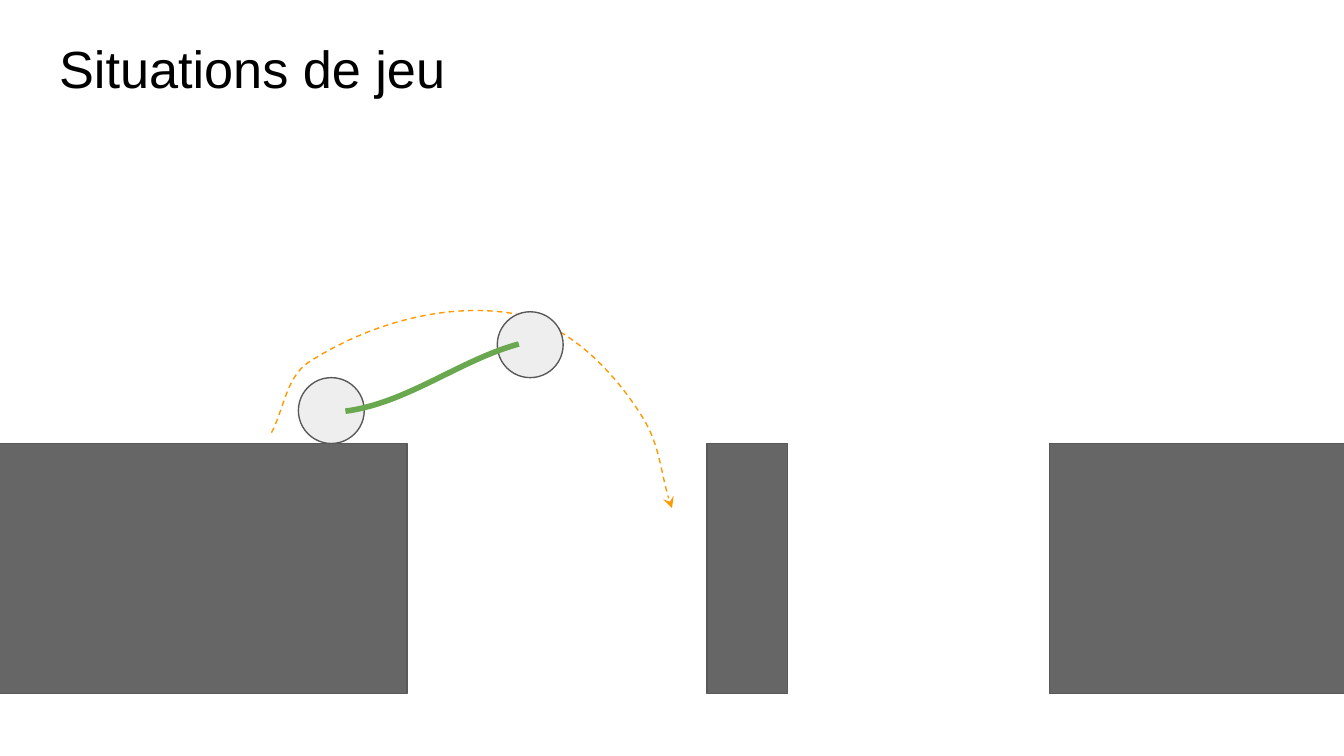
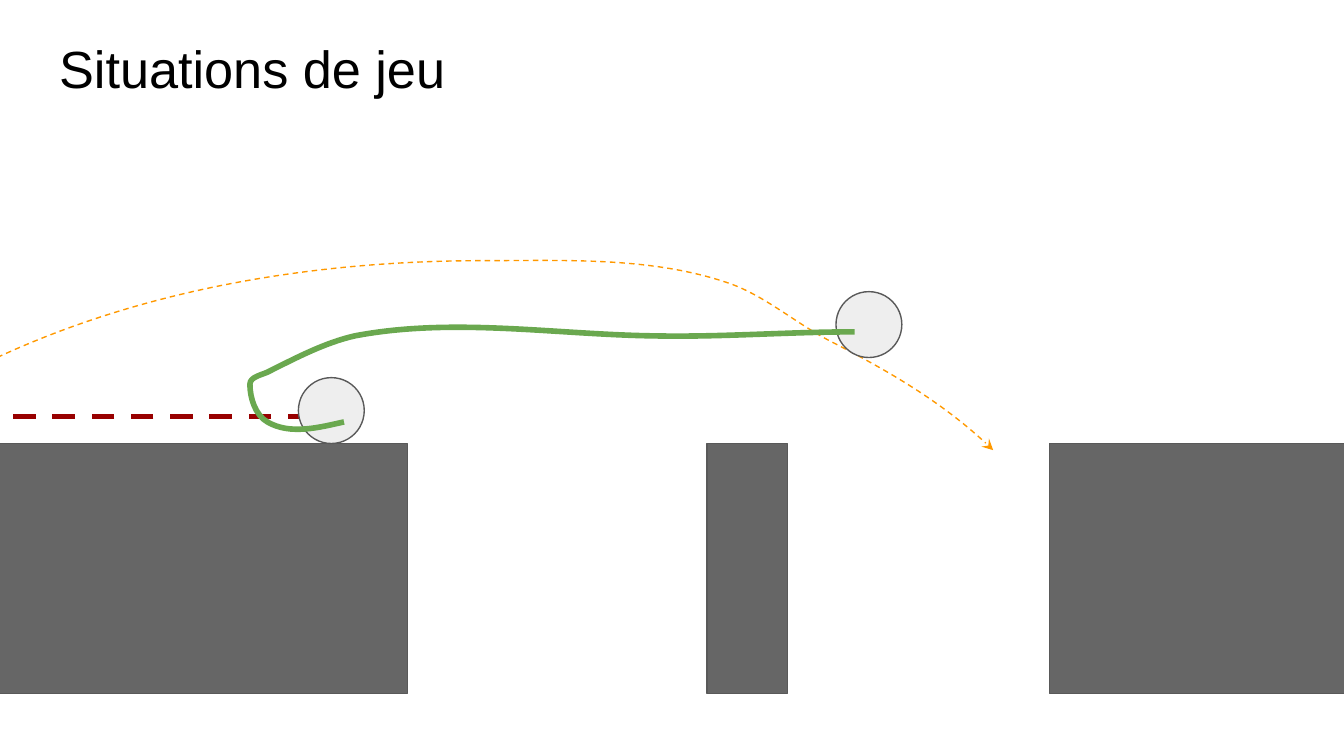
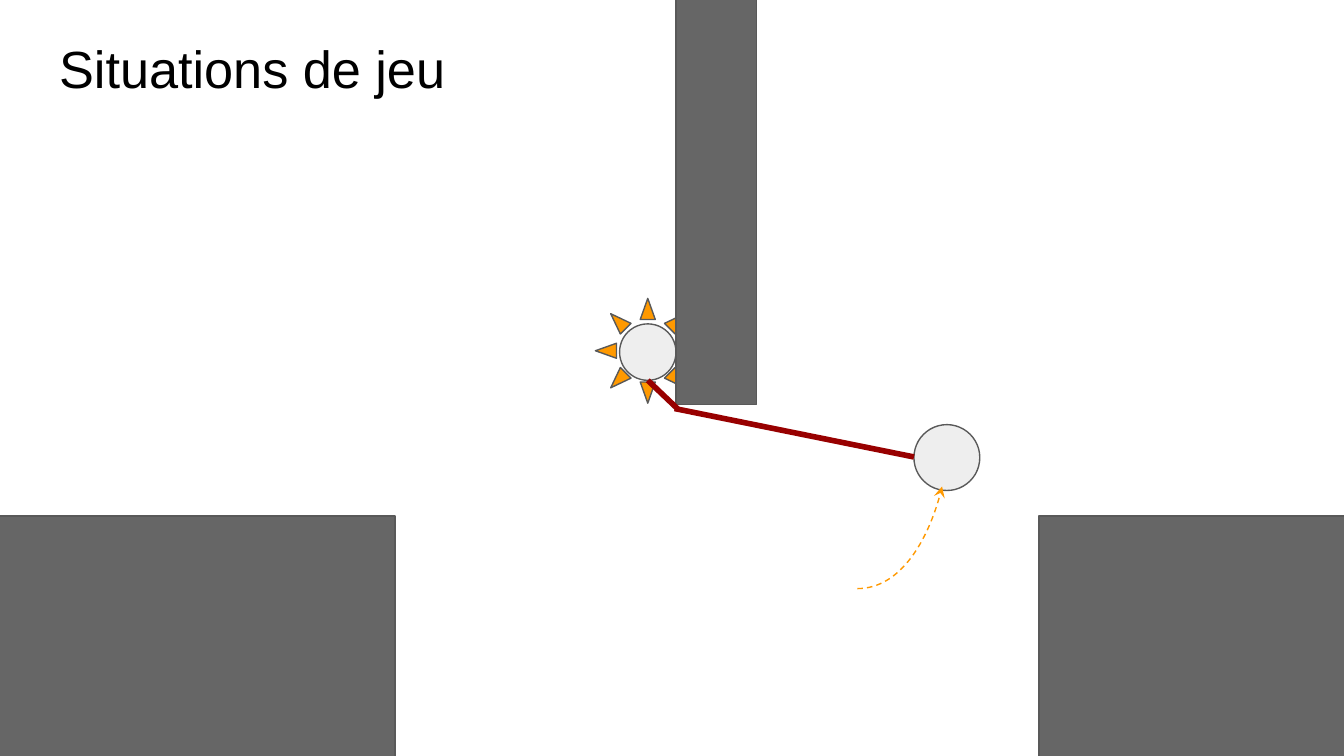
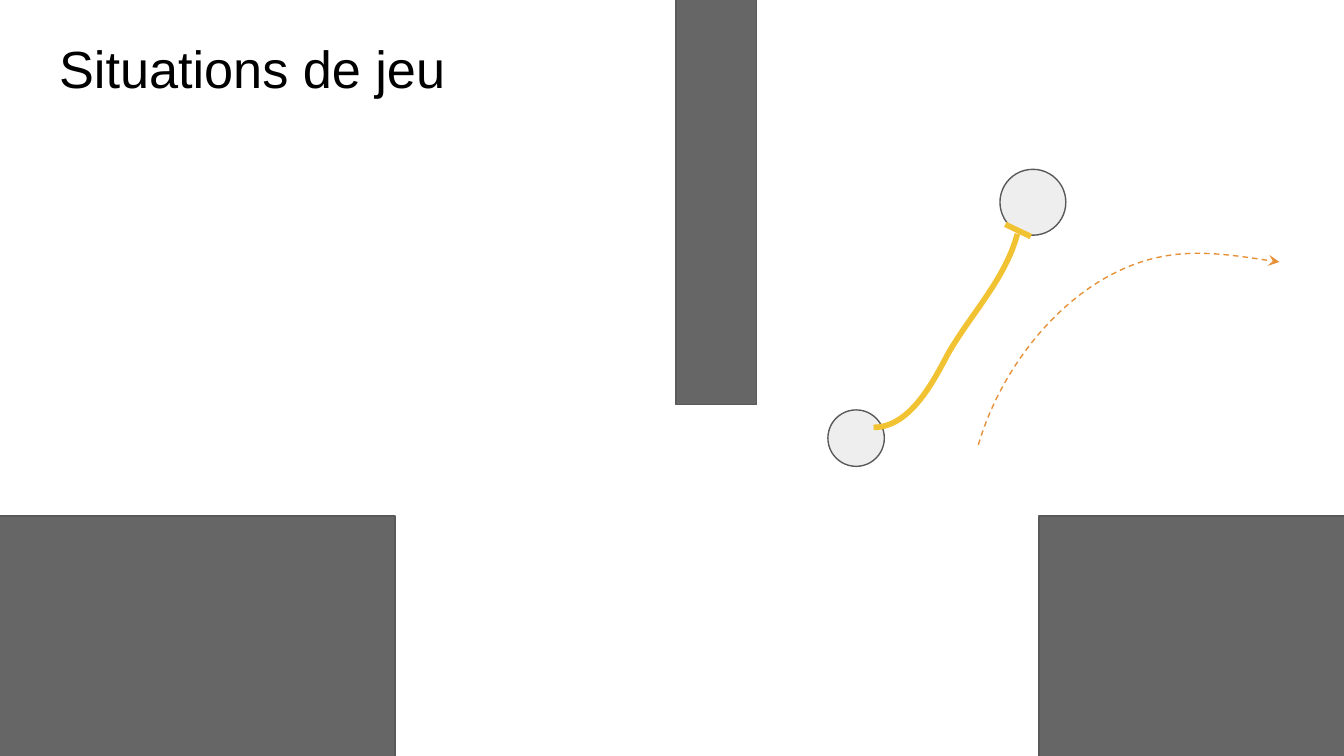
from dataclasses import dataclass

from lxml.etree import SubElement
from pptx import Presentation
from pptx.dml.color import RGBColor
from pptx.enum.dml import MSO_LINE
from pptx.enum.shapes import MSO_CONNECTOR, MSO_SHAPE
from pptx.enum.text import MSO_ANCHOR, MSO_AUTO_SIZE, PP_ALIGN
from pptx.oxml.ns import qn
from pptx.util import Inches, Pt


@dataclass(frozen=True)
class Theme:
    font: str = "Arial"
    title_size: int = 28
    thin: float = 0.75
    thick: float = 3
    text: str = "000000"
    outline: str = "595959"
    ground: str = "666666"
    ball: str = "EEEEEE"
    route: str = "FF9900"
    soft_route: str = "E69138"
    slack_rope: str = "6AA84F"
    tight_rope: str = "980000"
    elastic_rope: str = "F1C232"


@dataclass(frozen=True)
class Box:
    left: float
    top: float
    width: float
    height: float

    def inner(self, left, top, width, height):
        return Box(self.left + left, self.top + top, width, height)

    def point(self, x, y):
        return Inches(self.left + x), Inches(self.top + y)

    def lengths(self):
        return [Inches(value) for value in (self.left, self.top, self.width, self.height)]


THEME = Theme()
PAGE = Box(0, 0, 10, 10 * 9 / 16)
BALL = 0.49
SMALL_BALL = 0.42
CURVE_STEPS = 24


# Basic parts
def add_solid(slide, kind, box, color):
    shape = slide.shapes.add_shape(kind, *box.lengths())
    shape.shadow.inherit = False
    shape.fill.solid()
    shape.fill.fore_color.rgb = RGBColor.from_string(color)
    style_line(shape.line, THEME.outline, THEME.thin)
    return shape


def style_line(line, color, width, dashed=False):
    line.color.rgb = RGBColor.from_string(color)
    line.width = Pt(width)
    if dashed:
        line.dash_style = MSO_LINE.DASH


def add_ball(slide, box, left, top, size=BALL):
    add_solid(slide, MSO_SHAPE.OVAL, box.inner(left, top, size, size), THEME.ball)


def add_straight(slide, box, start, end, color, dashed=False):
    connector = slide.shapes.add_connector(
        MSO_CONNECTOR.STRAIGHT, *box.point(*start), *box.point(*end))
    style_line(connector.line, color, THEME.thick, dashed)
    SubElement(connector._element.spPr, qn("a:effectLst"))


def bezier_point(controls, t):
    weights = ((1 - t) ** 3, 3 * t * (1 - t) ** 2, 3 * t ** 2 * (1 - t), t ** 3)
    return tuple(round(sum(weight * control[axis] for weight, control in zip(weights, controls)))
                 for axis in (0, 1))


def add_curve(slide, box, points, color, width, dashed=False):
    """Draw a start point followed by groups of three Bezier points."""
    points = [box.point(*point) for point in points]
    starts = range(0, len(points) - 1, 3)

    # Sampled points give the outline its true bounds
    builder = slide.shapes.build_freeform(*points[0])
    builder.add_line_segments(
        [bezier_point(points[start:start + 4], step / CURVE_STEPS)
         for start in starts for step in range(1, CURVE_STEPS + 1)], close=False)
    shape = builder.convert_to_shape()

    # Smooth segments take the place of the sampled ones
    outline = next(shape._element.iter(qn("a:path")))
    for segment in list(outline):
        outline.remove(segment)
    segments = [("a:moveTo", points[:1])]
    segments += [("a:cubicBezTo", points[start + 1:start + 4]) for start in starts]
    for tag, segment_points in segments:
        segment = SubElement(outline, qn(tag))
        for x, y in segment_points:
            SubElement(segment, qn("a:pt"), x=str(x - shape.left), y=str(y - shape.top))

    shape.shadow.inherit = False
    shape.fill.background()
    style_line(shape.line, color, width, dashed)
    return shape


def add_route(slide, box, points, color=THEME.route):
    shape = add_curve(slide, box, points, color, THEME.thin, dashed=True)
    SubElement(shape._element.spPr.find(qn("a:ln")), qn("a:tailEnd"), type="stealth")


def add_rope(slide, box, points, color):
    add_curve(slide, box, points, color, THEME.thick)


# Shared regions
def add_title(slide, box):
    title = slide.shapes.title
    title.left, title.top, title.width, title.height = box.lengths()
    frame = title.text_frame
    frame.auto_size = MSO_AUTO_SIZE.NONE
    frame.word_wrap = True
    frame.vertical_anchor = MSO_ANCHOR.TOP
    frame.margin_left = frame.margin_right = Inches(0.1)
    frame.margin_top = frame.margin_bottom = Inches(0.1)
    paragraph = frame.paragraphs[0]
    paragraph.alignment = PP_ALIGN.LEFT
    run = paragraph.add_run()
    run.text = "Situations de jeu"
    run.font.name = THEME.font
    run.font.size = Pt(THEME.title_size)
    run.font.color.rgb = RGBColor.from_string(THEME.text)


def add_blocks(slide, box, blocks):
    for block in blocks:
        add_solid(slide, MSO_SHAPE.RECTANGLE, box.inner(*block), THEME.ground)


def add_gap_ground(slide, box, left, right):
    """Two banks and a pillar between them."""
    top, height = 3.3, 1.86
    edges = ((left, 3.03), (5.26, 5.86), (7.81, right))
    add_blocks(slide, box, [(start, top, end - start, height) for start, end in edges])


def add_hanging_wall_ground(slide, box):
    """Two low banks under a wall hanging from the ceiling."""
    add_blocks(slide, box, [
        (-0.75, 3.84, 3.69, 1.86), (5.03, -0.29, 0.6, 3.3), (7.73, 3.84, 2.48, 1.86)])


# Game situations
def draw_short_jump(slide, box):
    add_route(slide, box, [
        (2.02, 3.22), (2.11, 3.05), (2.13, 2.81), (2.29, 2.7),
        (2.72, 2.42), (3.29, 2.25), (3.8, 2.33),
        (4.22, 2.4), (4.57, 2.76), (4.79, 3.12),
        (4.91, 3.32), (4.92, 3.57), (5, 3.78)])
    add_gap_ground(slide, box, -0.35, 10.47)
    add_ball(slide, box, 2.22, 2.81)
    add_ball(slide, box, 3.7, 2.32)
    add_rope(slide, box, [(2.57, 3.06), (3.03, 3), (3.42, 2.68), (3.86, 2.56)],
             THEME.slack_rope)


def draw_long_throw(slide, box):
    add_route(slide, box, [
        (-0.02, 2.66), (1.1, 2.14), (2.37, 1.94), (3.6, 1.94),
        (4.2, 1.94), (4.83, 1.91), (5.4, 2.1),
        (5.68, 2.19), (5.91, 2.4), (6.18, 2.54),
        (6.61, 2.76), (7.04, 3.01), (7.39, 3.35)])
    add_straight(slide, box, (2.31, 3.1), (-0.11, 3.1), THEME.tight_rope, dashed=True)
    add_gap_ground(slide, box, -0.36, 10.23)
    add_ball(slide, box, 2.22, 2.81)
    add_ball(slide, box, 6.22, 2.17)
    add_rope(slide, box, [
        (2.56, 3.14), (2.38, 3.18), (2.16, 3.24), (1.99, 3.14),
        (1.9, 3.09), (1.86, 2.96), (1.86, 2.86),
        (1.86, 2.8), (1.96, 2.79), (2.01, 2.76),
        (2.21, 2.66), (2.42, 2.55), (2.64, 2.5),
        (3.37, 2.36), (4.13, 2.49), (4.87, 2.5),
        (5.37, 2.51), (5.86, 2.47), (6.36, 2.47)], THEME.slack_rope)


def draw_wall_swing(slide, box):
    glow = add_solid(slide, MSO_SHAPE.SUN, box.inner(4.43, 2.22, 0.78, 0.78), THEME.route)
    glow.adjustments[0] = 0.25
    add_ball(slide, box, 4.61, 2.41, SMALL_BALL)
    add_hanging_wall_ground(slide, box)
    add_ball(slide, box, 6.8, 3.16)
    add_straight(slide, box, (4.82, 2.83), (5.04, 3.04), THEME.tight_rope)
    add_straight(slide, box, (5.02, 3.04), (6.8, 3.4), THEME.tight_rope)
    add_route(slide, box, [(6.38, 4.38), (6.71, 4.38), (6.94, 3.94), (7.01, 3.62)])


def draw_elastic_pull(slide, box):
    add_ball(slide, box, 6.16, 3.05, SMALL_BALL)
    add_hanging_wall_ground(slide, box)
    add_ball(slide, box, 7.44, 1.26)
    add_rope(slide, box, [
        (7.57, 1.74), (7.48, 2.08), (7.22, 2.34), (7.05, 2.64),
        (6.93, 2.87), (6.76, 3.18), (6.5, 3.18)], THEME.elastic_rope)
    add_straight(slide, box, (7.48, 1.67), (7.67, 1.76), THEME.elastic_rope)
    add_route(slide, box, [
        (7.28, 3.31), (7.45, 2.73), (7.91, 2.14), (8.49, 1.95),
        (8.82, 1.84), (9.18, 1.9), (9.52, 1.95)], THEME.soft_route)


def main():
    presentation = Presentation()
    presentation.slide_width = Inches(PAGE.width)
    presentation.slide_height = Inches(PAGE.height)
    title_only = presentation.slide_layouts[5]
    for draw_situation in (draw_short_jump, draw_long_throw, draw_wall_swing, draw_elastic_pull):
        slide = presentation.slides.add_slide(title_only)
        add_title(slide, PAGE.inner(0.34, 0.17, 9.32, 0.63))
        draw_situation(slide, PAGE)
    presentation.save("out.pptx")


if __name__ == "__main__":
    main()
